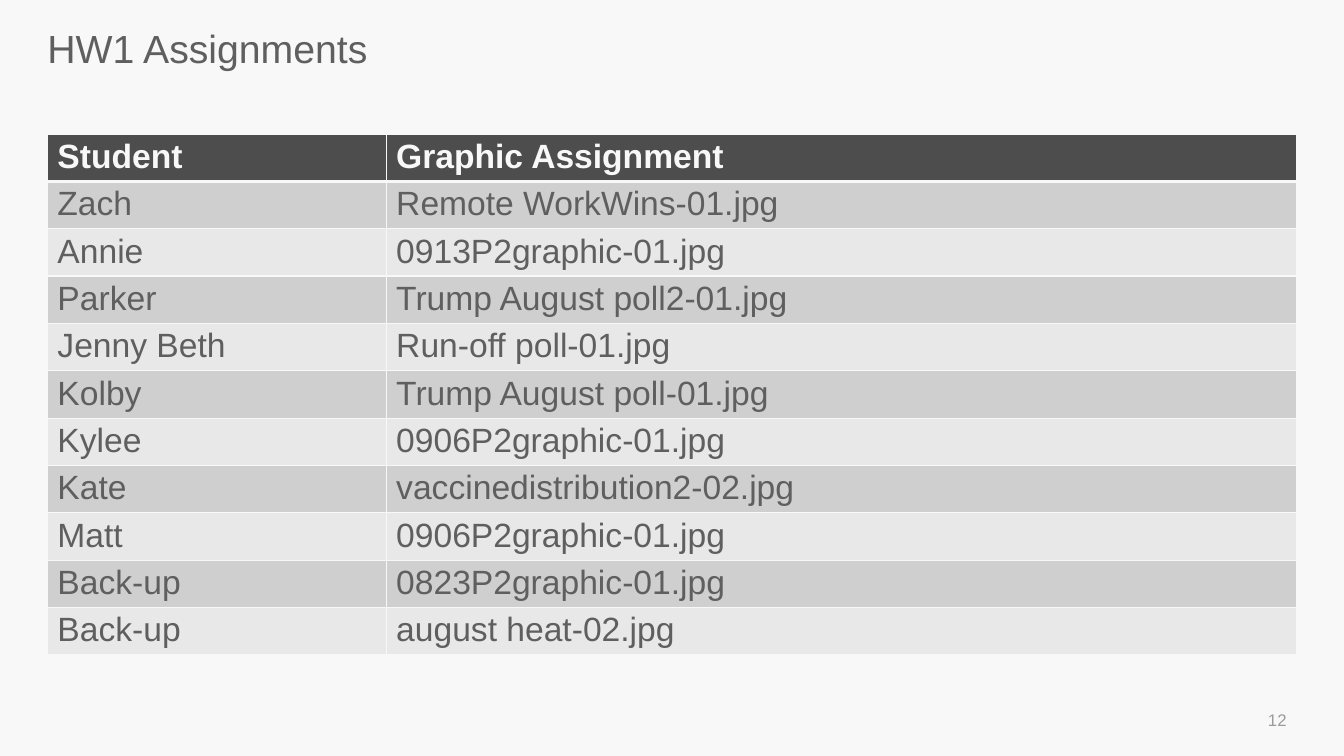
from typing import NamedTuple

from lxml.etree import SubElement
from pptx import Presentation
from pptx.dml.color import RGBColor
from pptx.enum.text import MSO_ANCHOR, PP_ALIGN
from pptx.oxml.ns import qn
from pptx.util import Inches, Pt

COLORS = {
    "background": "F8F8F8",
    "text": "5F5F5F",
    "header": "4D4D4D",
    "odd": "CFCFCF",
    "even": "E8E8E8",
    "number": "9B9B9B",
}
LEFT, WIDTH = 0.47, 12.39
COLUMN_WIDTHS = (3.36, 9.03)
ROW_HEIGHT = 0.47


class Assignment(NamedTuple):
    student: str
    graphic: str


ASSIGNMENTS = [
    Assignment("Student", "Graphic Assignment"),
    Assignment("Zach", "Remote WorkWins-01.jpg"),
    Assignment("Annie", "0913P2graphic-01.jpg"),
    Assignment("Parker", "Trump August poll2-01.jpg"),
    Assignment("Jenny Beth", "Run-off poll-01.jpg"),
    Assignment("Kolby", "Trump August poll-01.jpg"),
    Assignment("Kylee", "0906P2graphic-01.jpg"),
    Assignment("Kate", "vaccinedistribution2-02.jpg"),
    Assignment("Matt", "0906P2graphic-01.jpg"),
    Assignment("Back-up", "0823P2graphic-01.jpg"),
    Assignment("Back-up", "august heat-02.jpg"),
]


def rgb(name: str) -> RGBColor:
    return RGBColor.from_string(COLORS[name])


def write(tf, text: str, size: float, color: str, bold: bool = False,
          align=PP_ALIGN.LEFT):
    """Set one formatted paragraph and return it."""
    p = tf.paragraphs[0]
    p.text = text
    p.alignment = align
    font = p.runs[0].font
    font.name, font.size, font.bold = "Arial", Pt(size), bold
    font.color.rgb = rgb(color)
    return p


def add_borders(cell, top: float, bottom: float) -> None:
    """Draw the cell's edges; they must precede the fill in the XML."""
    tc_pr = cell._tc.get_or_add_tcPr()
    for tag, width in (("a:lnL", 1), ("a:lnR", 1), ("a:lnT", top), ("a:lnB", bottom)):
        ln = SubElement(tc_pr, qn(tag), w=str(Pt(width)))
        fill = SubElement(ln, qn("a:solidFill"))
        SubElement(fill, qn("a:srgbClr"), val=COLORS["background"])


def format_cell(cell, text: str, row: int) -> None:
    is_header = row == 0
    add_borders(cell, top=3 if row == 1 else 1, bottom=3 if is_header else 1)
    cell.fill.solid()
    cell.fill.fore_color.rgb = rgb("header" if is_header else "odd" if row % 2 else "even")
    cell.margin_left = cell.margin_right = Inches(0.1)
    cell.margin_top = cell.margin_bottom = Inches(0.04)
    write(cell.text_frame, text, 24, "background" if is_header else "text", is_header)


def add_assignment_table(slide) -> None:
    table = slide.shapes.add_table(
        len(ASSIGNMENTS), len(COLUMN_WIDTHS), Inches(LEFT), Inches(1.33),
        Inches(WIDTH), Inches(ROW_HEIGHT * len(ASSIGNMENTS))).table
    for column, width in zip(table.columns, COLUMN_WIDTHS):
        column.width = Inches(width)
    for row, assignment in enumerate(ASSIGNMENTS):
        table.rows[row].height = Inches(ROW_HEIGHT)
        for col, text in enumerate(assignment):
            format_cell(table.cell(row, col), text, row)


def add_title(slide) -> None:
    title = slide.shapes.title
    title.left, title.top = Inches(LEFT), Inches(0.31)
    title.width, title.height = Inches(WIDTH), Inches(0.89)
    tf = title.text_frame
    tf.margin_left = tf.margin_right = tf.margin_top = tf.margin_bottom = 0
    tf.vertical_anchor = MSO_ANCHOR.TOP
    write(tf, "HW1 Assignments", 28, "text").line_spacing = 0.86


def add_slide_number(slide) -> None:
    tf = slide.shapes.add_textbox(Inches(9.86), Inches(6.94), Inches(3), Inches(0.4)).text_frame
    tf.word_wrap = True
    tf.vertical_anchor = MSO_ANCHOR.MIDDLE
    write(tf, "12", 12, "number", align=PP_ALIGN.RIGHT)


def main() -> None:
    prs = Presentation()
    prs.slide_width, prs.slide_height = Inches(13.33), Inches(7.5)
    slide = prs.slides.add_slide(prs.slide_layouts[5])

    # Background
    fill = slide.background.fill
    fill.solid()
    fill.fore_color.rgb = rgb("background")

    # Content
    add_title(slide)
    add_assignment_table(slide)
    add_slide_number(slide)
    prs.save("out.pptx")


if __name__ == "__main__":
    main()
